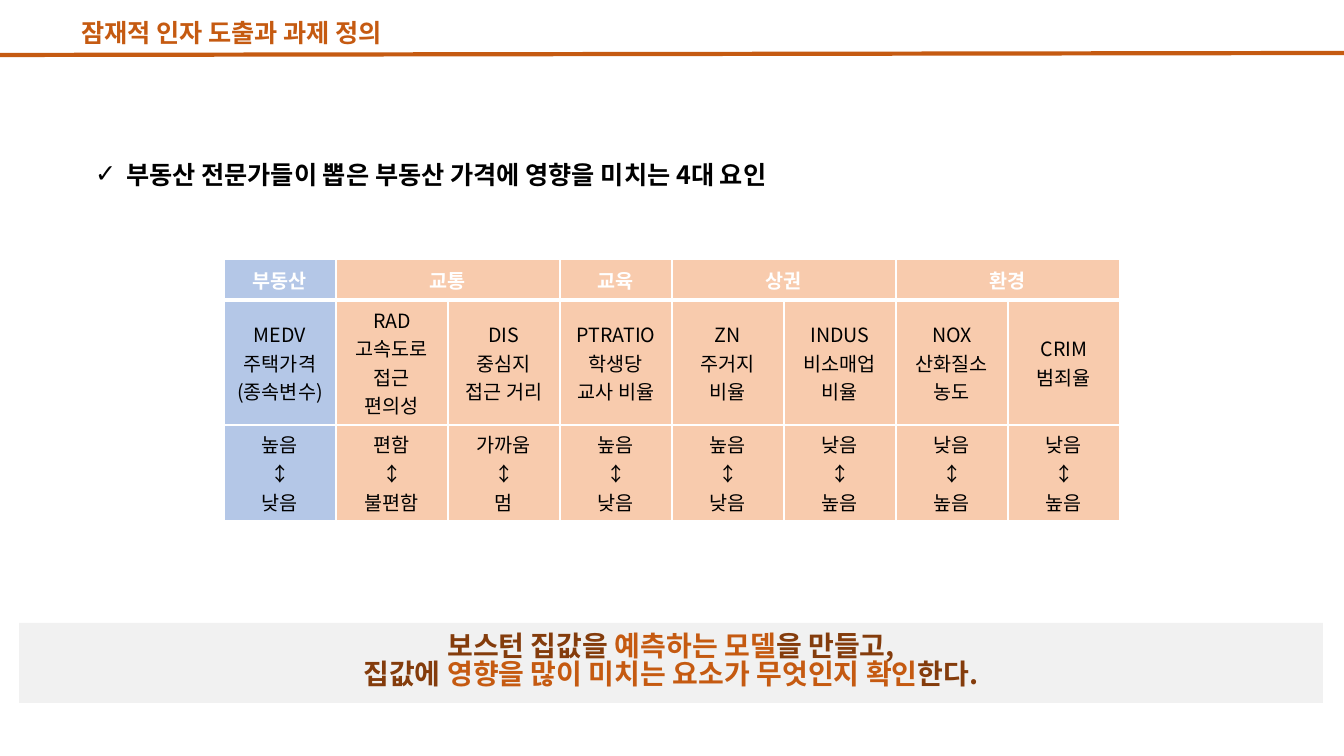
"""Build the slide on the factors behind house prices."""
from lxml import etree
from pptx import Presentation
from pptx import util as u
from pptx.dml.color import RGBColor
from pptx.enum import shapes, text
from pptx.oxml import ns

FONT = "Noto Sans CJK KR"
RUST, BROWN, BLUE, PEACH = "C55A11", "843C0C", "B4C7E7", "F8CBAD"
WHITE, BLACK, GREY = "FFFFFF", "000000", "F1F1F1"

TITLE = "잠재적 인자 도출과 과제 정의"
POINT = "부동산 전문가들이 뽑은 부동산 가격에 영향을 미치는 4대 요인"
GOAL = [
    [("보스턴 집값을 ", BROWN), ("예측하는 모델", RUST), ("을 만들고,", BROWN)],
    [("집값에 ", BROWN), ("영향을 많이 미치는 요소가 무엇인지 확인", RUST), ("한다.", BROWN)],
]
GROUPS = [("부동산", 1), ("교통", 2), ("교육", 1), ("상권", 2), ("환경", 2)]
FACTORS = [
    (["MEDV", "주택가격", "(종속변수)"], "높음", "낮음"),
    (["RAD", "고속도로 접근 편의성"], "편함", "불편함"),
    (["DIS", "중심지 접근 거리"], "가까움", "멈"),
    (["PTRATIO", "학생당 교사 비율"], "높음", "낮음"),
    (["ZN", "주거지 비율"], "높음", "낮음"),
    (["INDUS", "비소매업 비율"], "낮음", "높음"),
    (["NOX", "산화질소 농도"], "낮음", "높음"),
    (["CRIM", "범죄율"], "낮음", "높음"),
]
ROWS, COL = [41, 125, 95], 112


def px(n):
    return u.Emu(round(n * 914400 / 100.8))


def rgb(code):
    return RGBColor.from_string(code)


def sub(node, tag, **attrs):
    return etree.SubElement(node, ns.qn(tag), attrs)


def write(frame, lines, size=14, color=BLACK, bold=False,
          align=text.PP_ALIGN.CENTER, gap=1.0):
    """Fill a frame with lines, each a string or a list of (words, color)."""
    for i, line in enumerate(lines):
        para = frame.add_paragraph() if i else frame.paragraphs[0]
        para.alignment, para.line_spacing = align, gap
        para.space_before = u.Pt(0)
        for words, tint in [(line, color)] if isinstance(line, str) else line:
            run = para.add_run()
            run.text = words
            font = run.font
            font.size, font.bold, font.name = u.Pt(size), bold, FONT
            font.color.rgb = rgb(tint)
            sub(font._element, "a:ea", typeface=FONT)


def place(shape, *box):
    shape.left, shape.top, shape.width, shape.height = map(px, box)
    frame = shape.text_frame
    frame.word_wrap = True
    frame.auto_size = text.MSO_AUTO_SIZE.NONE
    frame.vertical_anchor = text.MSO_ANCHOR.TOP
    return frame


def style(cell, col, row):
    cell.vertical_anchor = text.MSO_ANCHOR.MIDDLE
    cell.fill.solid()
    cell.fill.fore_color.rgb = rgb(PEACH if col else BLUE)
    props = cell._tc.get_or_add_tcPr()
    for i, side in enumerate("LRTB"):
        thick = (side, row) in (("B", 0), ("T", 1))
        edge = sub(props, "a:ln" + side, w=str(u.Pt(3 if thick else 1)))
        sub(sub(edge, "a:solidFill"), "a:srgbClr", val=WHITE)
        props.insert(i, edge)


deck = Presentation()
deck.slide_width, deck.slide_height = px(1344), px(756)
slide = deck.slides.add_slide(deck.slide_layouts[1])
title, body = slide.placeholders
left = text.PP_ALIGN.LEFT

write(place(title, 71, 12, 362, 40), [TITLE], size=18, color=RUST, bold=True, align=left)

frame = place(body, 85, 154, 1084, 40)
write(frame, [POINT], size=18, bold=True, align=left)
props = frame.paragraphs[0]._p.get_or_add_pPr()
props.set("marL", str(px(31)))
props.set("indent", str(px(-31)))
sub(props, "a:buChar", char="✓")

grid = slide.shapes.add_table(len(ROWS), len(FACTORS), px(224), px(259),
                              px(COL * len(FACTORS)), px(sum(ROWS))).table
for row, high in zip(grid.rows, ROWS):
    row.height = px(high)
for c, (name, top, end) in enumerate(FACTORS):
    grid.columns[c].width = px(COL)
    for r in range(len(ROWS)):
        style(grid.cell(r, c), c, r)
    write(grid.cell(1, c).text_frame, name)
    write(grid.cell(2, c).text_frame, [top, "↕", end])
c = 0
for name, span in GROUPS:
    cell = grid.cell(0, c)
    if span > 1:
        cell.merge(grid.cell(0, c + span - 1))
    write(cell.text_frame, [name], color=WHITE, bold=True)
    c += span

rule = slide.shapes.add_connector(shapes.MSO_CONNECTOR.STRAIGHT,
                                  px(-1), px(55), px(1344), px(53))
rule.line.color.rgb, rule.line.width = rgb(RUST), u.Pt(3)
sub(rule._element.spPr, "a:effectLst")

band = slide.shapes.add_shape(shapes.MSO_SHAPE.RECTANGLE, 0, 0, 0, 0)
band.shadow.inherit = False
band.fill.solid()
band.fill.fore_color.rgb = rgb(GREY)
band.line.fill.background()
frame = place(band, 19, 623, 1304, 80)
frame.margin_left = frame.margin_right = frame.margin_bottom = 0
frame.margin_top = px(11)
write(frame, GOAL, size=20, bold=True, gap=0.84)

deck.save("out.pptx")
